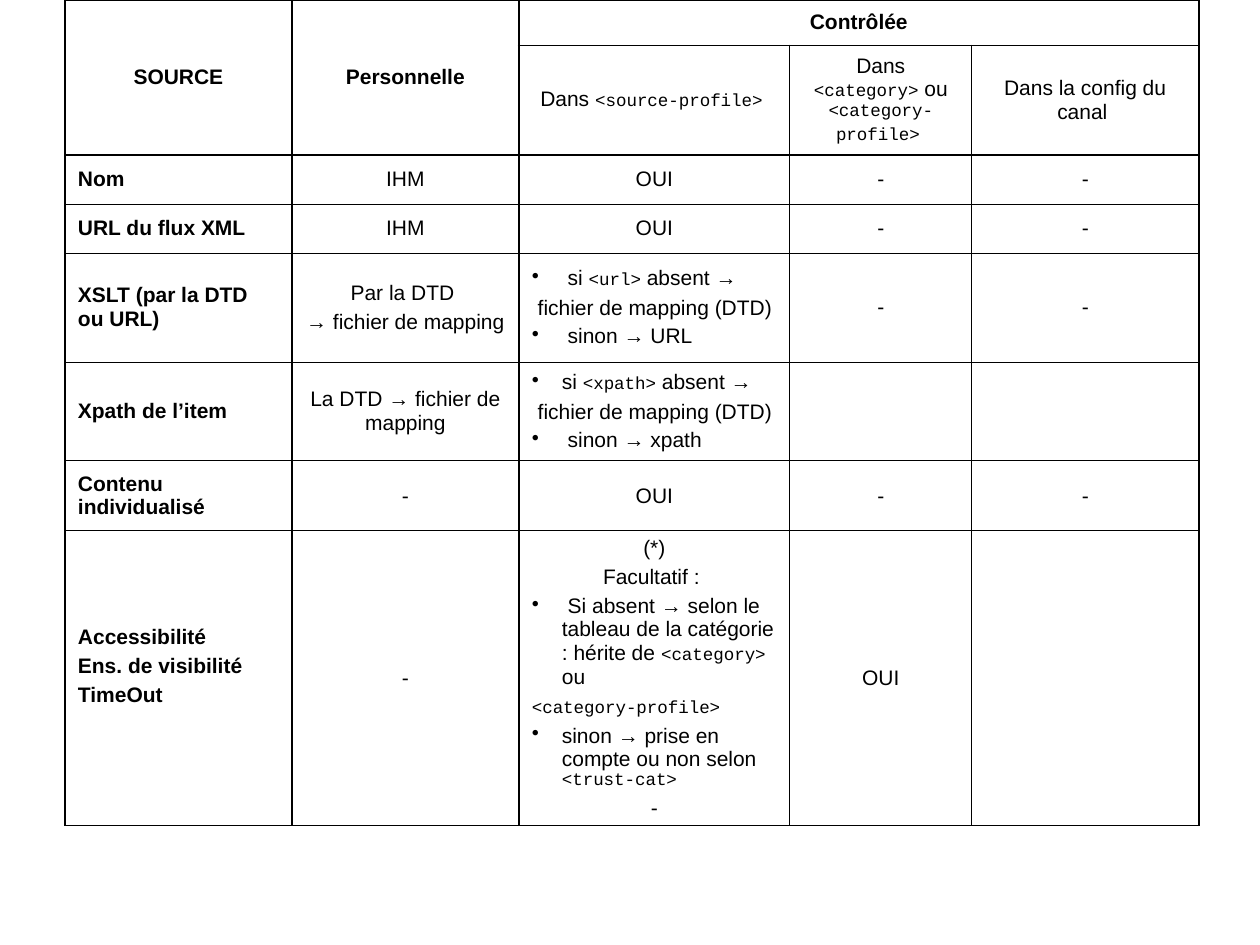
from lxml import etree
from pptx import Presentation
from pptx import util as u
from pptx.dml import color
from pptx.enum import text
from pptx.oxml import ns

PX = 914400 // 126
BLACK = "000000"


def rgb(value):
    return color.RGBColor.from_string(value)


def add_border(cell, side, points):
    line = etree.SubElement(cell._tc.get_or_add_tcPr(), ns.qn(f"a:ln{side}"), w=str(u.Pt(points)))
    fill = etree.SubElement(line, ns.qn("a:solidFill"))
    etree.SubElement(fill, ns.qn("a:srgbClr"), val=BLACK)


column_widths = [227, 227, 271, 182, 227]
row_heights = [45, 110, 49, 49, 109, 99, 70, 265]
vertical_rules = [1.08, 1.47, 1.47, 0.45, 0.45, 1.08]
horizontal_rules = [1.08, 0.45, 1.47, 0.45, 0.45, 0.45, 0.45, 0.45, 1.08]
merges = [(0, 0, 1, 0), (0, 1, 1, 1), (0, 2, 0, 4)]

# "•" bulleted, "|" left-aligned, backticks enclose code
source_rows = [
    [["SOURCE"], ["Personnelle"], ["Contrôlée"], [], []],
    [[], [], ["Dans `<source-profile>` "], ["Dans `<category>` ou `<category-profile>` "],
     ["Dans la config du canal "]],
    [["|Nom"], ["IHM"], ["OUI"], ["-"], ["-"]],
    [["|URL du flux XML"], ["IHM"], ["OUI"], ["-"], ["-"]],
    [["|XSLT (par la DTD ou URL)"], ["Par la DTD ", "→ fichier de mapping "],
     ["• si `<url>` absent →", "| fichier de mapping (DTD)", "• sinon → URL"], ["-"], ["-"]],
    [["|Xpath de l’item"], ["La DTD → fichier de mapping"],
     ["•si `<xpath>` absent →", "| fichier de mapping (DTD)", "• sinon → xpath"], [], []],
    [["|Contenu individualisé"], ["-"], ["OUI"], ["-"], ["-"]],
    [["|Accessibilité", "|Ens. de visibilité", "|TimeOut"], ["-"],
     ["(*)", "Facultatif : ",
      "• Si absent → selon le tableau de la catégorie : hérite de `<category>` ou",
      "|`<category-profile>` ", "•sinon → prise en compte ou non selon `<trust-cat>`", "-"],
     ["OUI"], []],
]

deck = Presentation()
deck.slide_width, deck.slide_height = 1260 * PX, 945 * PX
slide = deck.slides.add_slide(deck.slide_layouts[6])

sources = slide.shapes.add_table(
    len(row_heights), len(column_widths), 65 * PX, 0,
    sum(column_widths) * PX, sum(row_heights) * PX).table
sources.first_row = sources.horz_banding = False
for column, width in zip(sources.columns, column_widths):
    column.width = width * PX
for row, height in zip(sources.rows, row_heights):
    row.height = height * PX
for top, left, bottom, right in merges:
    sources.cell(top, left).merge(sources.cell(bottom, right))

for r, source_row in enumerate(source_rows):
    for c, lines in enumerate(source_row):
        cell = sources.cell(r, c)
        if cell.is_spanned:
            continue
        add_border(cell, "L", vertical_rules[c])
        add_border(cell, "R", vertical_rules[c + cell.span_width])
        add_border(cell, "T", horizontal_rules[r])
        add_border(cell, "B", horizontal_rules[r + cell.span_height])
        cell.fill.background()
        cell.vertical_anchor = text.MSO_ANCHOR.MIDDLE
        cell.margin_left = cell.margin_right = 13 * PX
        cell.margin_top = cell.margin_bottom = 6 * PX

        for i, line in enumerate(lines):
            frame = cell.text_frame
            paragraph = frame.add_paragraph() if i else frame.paragraphs[0]
            if line[0] == "•":
                properties = paragraph._p.get_or_add_pPr()
                properties.set("marL", str(30 * PX))
                properties.set("indent", str(-30 * PX))
                etree.SubElement(properties, ns.qn("a:buChar"), char="•")
            left_aligned = line[0] in "•|"
            paragraph.alignment = text.PP_ALIGN.LEFT if left_aligned else text.PP_ALIGN.CENTER
            if i:
                paragraph.space_before = u.Pt(3)
            for j, part in enumerate(line[left_aligned:].split("`")):
                if part:
                    run = paragraph.add_run()
                    run.text = part
                    run.font.name = "Courier New" if j % 2 else "Arial"
                    run.font.size = u.Pt(10 if j % 2 else 12)
                    run.font.bold = r == 0 or c == 0
                    run.font.color.rgb = rgb(BLACK)

sources.cell(7, 0).margin_bottom = 30 * PX

deck.save("out.pptx")
